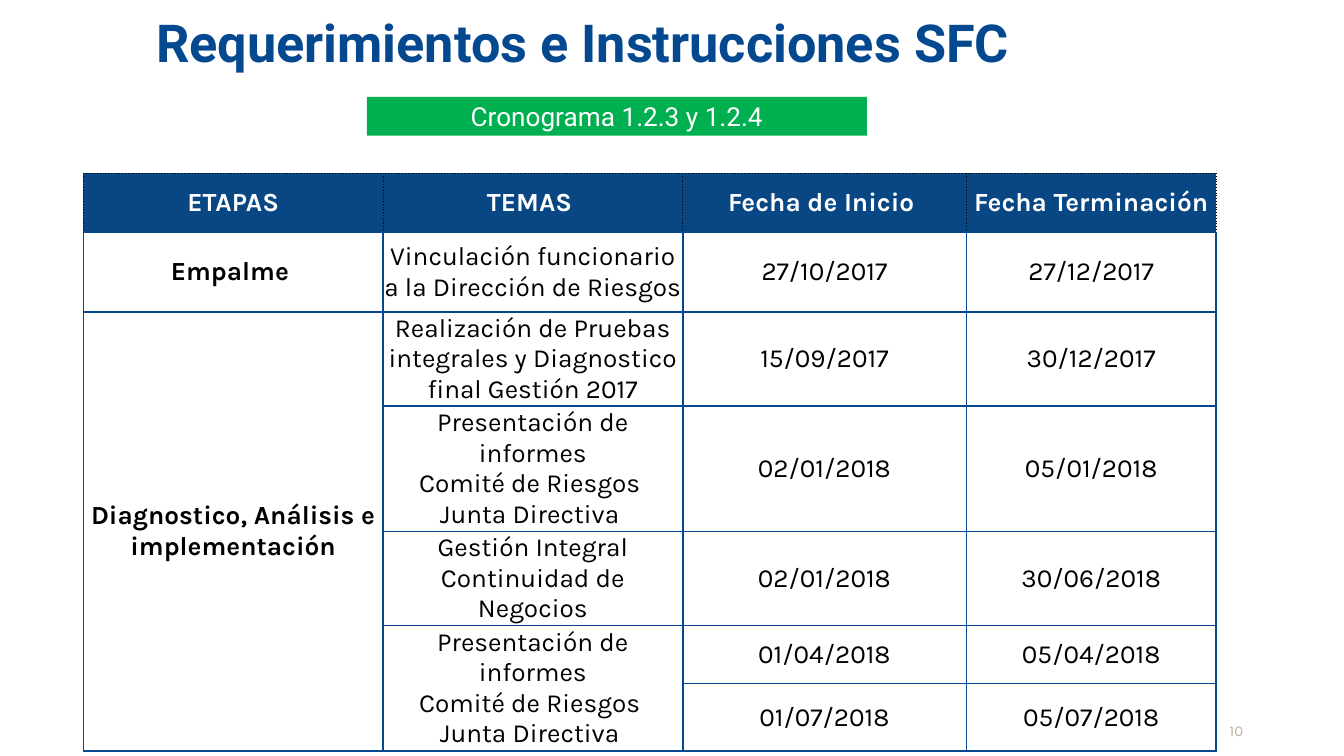
from copy import deepcopy

from lxml.etree import SubElement
from pptx import Presentation
from pptx.dml.color import RGBColor
from pptx.enum.shapes import MSO_SHAPE
from pptx.enum.text import MSO_ANCHOR, PP_ALIGN
from pptx.oxml.ns import qn
from pptx.util import Inches, Pt

NAVY = "044990"
HEADER_NAVY = "094784"
GREEN = "00B050"
BLACK = "000000"
WHITE = "FFFFFF"
SAND = "BCB296"

HEADINGS = ["ETAPAS", "TEMAS ", "Fecha de Inicio ", "Fecha Terminación"]
REPORTS = "Presentación de informes\vComité de Riesgos \vJunta Directiva "
SCHEDULE = [
    ("Empalme ", "Vinculación funcionario a la Dirección de Riesgos", "27/10/2017", "27/12/2017"),
    ("Diagnostico, Análisis e implementación",
     "Realización de Pruebas integrales y Diagnostico final Gestión 2017",
     "15/09/2017", "30/12/2017"),
    ("", REPORTS, "02/01/2018", "05/01/2018"),
    ("", "Gestión Integral Continuidad de Negocios", "02/01/2018", "30/06/2018"),
    ("", REPORTS, "01/04/2018", "05/04/2018"),
    ("", "", "01/07/2018", "05/07/2018"),
]
COLUMN_WIDTHS = [2.23, 2.23, 2.11, 1.86]
ROW_HEIGHTS = [0.44, 0.59, 0.6, 0.78, 0.59, 0.43, 0.44]
MERGES = [((2, 0), (6, 0)), ((5, 1), (6, 1))]


def rgb(hex_color):
    return RGBColor.from_string(hex_color)


def write(frame, text, font, size, color, bold=False, align=PP_ALIGN.CENTER):
    frame.text = text
    for paragraph in frame.paragraphs:
        paragraph.alignment = align
        for run in paragraph.runs:
            run.font.name = font
            run.font.size = Pt(size)
            run.font.bold = bold
            run.font.color.rgb = rgb(color)
        # Line breaks need the run's size too, or they stretch the line
        for line_break in paragraph._p.findall(qn("a:br")):
            line_break.append(deepcopy(paragraph.runs[0]._r.rPr))


def set_insets(holder, inset):
    holder.margin_left = holder.margin_right = Inches(inset)
    holder.margin_top = holder.margin_bottom = Inches(inset)


def add_text(slide, box, text, font, size, color, **style):
    frame = slide.shapes.add_textbox(*map(Inches, box)).text_frame
    frame.word_wrap = True
    set_insets(frame, 0)
    write(frame, text, font, size, color, **style)
    return frame


def add_banner(slide, box, text):
    banner = slide.shapes.add_shape(MSO_SHAPE.RECTANGLE, *map(Inches, box))
    banner.shadow.inherit = False
    banner.fill.solid()
    banner.fill.fore_color.rgb = rgb(GREEN)
    banner.line.fill.background()
    frame = banner.text_frame
    frame.word_wrap = False
    frame.vertical_anchor = MSO_ANCHOR.MIDDLE
    set_insets(frame, 0.25)
    write(frame, text, "Roboto", 14, WHITE)


def add_border(cell, side, color, width, dash):
    line = SubElement(cell._tc.get_or_add_tcPr(), qn(f"a:ln{side}"), w=str(Pt(width)))
    fill = SubElement(line, qn("a:solidFill"))
    SubElement(fill, qn("a:srgbClr"), val=color)
    SubElement(line, qn("a:prstDash"), val=dash)


def style_cell(cell, text, is_header, is_stage):
    for side in "LRTB":
        if is_header and side != "B":
            add_border(cell, side, BLACK, 0.5, "dot")
        else:
            add_border(cell, side, NAVY, 1, "solid")
    if is_header:
        cell.fill.solid()
        cell.fill.fore_color.rgb = rgb(HEADER_NAVY)
    else:
        cell.fill.background()
    set_insets(cell, 0)
    cell.vertical_anchor = MSO_ANCHOR.MIDDLE
    if text:
        write(cell.text_frame, text, "Karla", 14, WHITE if is_header else BLACK,
              bold=is_header or is_stage)


def add_schedule(slide, left, top):
    rows = [HEADINGS, *SCHEDULE]
    table = slide.shapes.add_table(
        len(rows), len(HEADINGS), Inches(left), Inches(top),
        Inches(sum(COLUMN_WIDTHS)), Inches(sum(ROW_HEIGHTS))).table
    for column, width in zip(table.columns, COLUMN_WIDTHS):
        column.width = Inches(width)
    for row, height in zip(table.rows, ROW_HEIGHTS):
        row.height = Inches(height)
    for first, last in MERGES:
        table.cell(*first).merge(table.cell(*last))
    for r, texts in enumerate(rows):
        for c, text in enumerate(texts):
            style_cell(table.cell(r, c), text, is_header=r == 0, is_stage=c == 0)


def main():
    presentation = Presentation()
    presentation.slide_width = Inches(10)
    presentation.slide_height = Inches(10 * 9 / 16)
    slide = presentation.slides.add_slide(presentation.slide_layouts[6])

    page_number = add_text(slide, (8.93, 5.37, 0.32, 0.13), "10", "Karla", 8, SAND,
                           align=PP_ALIGN.RIGHT)
    page_number.vertical_anchor = MSO_ANCHOR.BOTTOM
    title = add_text(slide, (0.25, 0.15, 8.17, 0.29), "Requerimientos e Instrucciones SFC",
                     "Roboto", 28, NAVY, bold=True)
    title.paragraphs[0].line_spacing = 0.85
    add_banner(slide, (2.73, 0.72, 3.72, 0.29), "Cronograma 1.2.3 y 1.2.4")
    add_schedule(slide, 0.62, 1.29)

    presentation.save("out.pptx")


if __name__ == "__main__":
    main()
